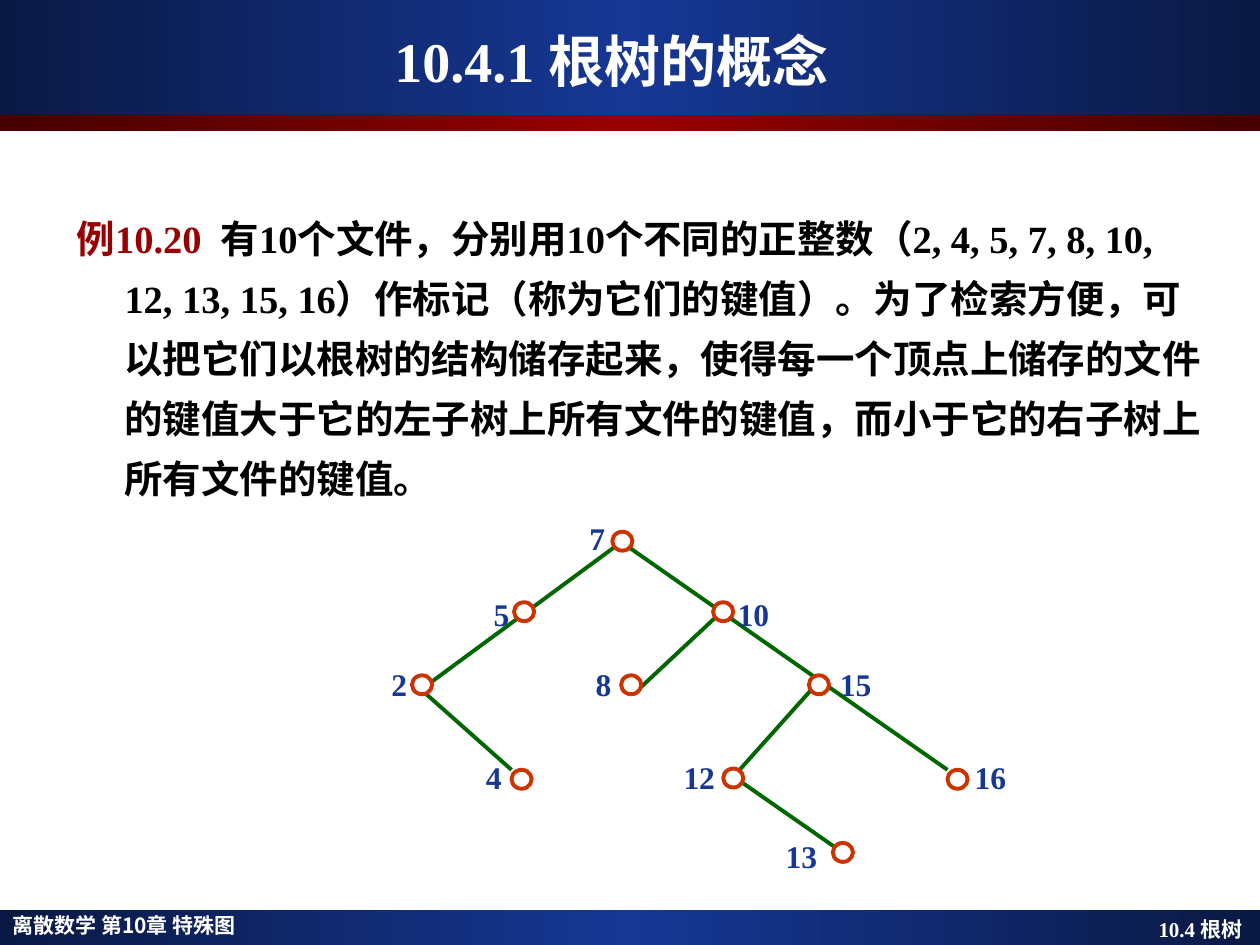
from copy import deepcopy
from pptx import Presentation
from pptx.dml.color import RGBColor
from pptx.enum.shapes import MSO_CONNECTOR, MSO_SHAPE
from pptx.enum.text import MSO_ANCHOR, PP_ALIGN
from pptx.oxml.ns import qn
from pptx.util import Inches, Pt

LEFT, MID, RIGHT = PP_ALIGN.LEFT, PP_ALIGN.CENTER, PP_ALIGN.RIGHT
TOP, CENTER = MSO_ANCHOR.TOP, MSO_ANCHOR.MIDDLE
RECT, OVAL = MSO_SHAPE.RECTANGLE, MSO_SHAPE.OVAL
LINE = MSO_CONNECTOR.STRAIGHT
NAVY = RGBColor(0x0A, 0x19, 0x44)
BLUE = RGBColor(0x16, 0x37, 0x94)
DARK = RGBColor(0x46, 0x00, 0x00)
RED = RGBColor(0x99, 0x00, 0x00)
GREEN = RGBColor(0x00, 0x66, 0x00)
RUST = RGBColor(0xCC, 0x33, 0x00)
WHITE = RGBColor(0xFF, 0xFF, 0xFF)
BLACK = RGBColor(0x00, 0x00, 0x00)
SERIF, SANS = "Times New Roman", "Noto Sans CJK JP"

prs = Presentation()
prs.slide_width, prs.slide_height = Inches(10), Inches(7.5)
slide = prs.slides.add_slide(prs.slide_layouts[6])
shapes = slide.shapes


def write(runs, box, size, align=LEFT, font=SERIF, anchor=CENTER):
    frame = shapes.add_textbox(*map(Inches, box)).text_frame
    frame.word_wrap = True
    frame.vertical_anchor = anchor
    frame.margin_top = frame.margin_bottom = 0
    para = frame.paragraphs[0]
    para.alignment = align
    for text, color in runs:
        run = para.add_run()
        run.text = text
        run.font.size = Pt(size)
        run.font.bold = True
        run.font.name = font
        run.font.color.rgb = color
        east = run.font._element.makeelement(qn("a:ea"), {"typeface": SANS})
        run.font._element.find(qn("a:latin")).addnext(east)
    return para


for top, high, edge, core in [
    (7.22, 0.28, NAVY, BLUE),
    (0, 0.91, NAVY, BLUE),
    (0.91, 0.13, DARK, RED),
]:
    band = shapes.add_shape(RECT, 0, Inches(top), Inches(10), Inches(high))
    band.shadow.inherit = False
    band.line.fill.background()
    band.fill.gradient()
    band.fill.gradient_angle = 0
    stops = band._element.spPr.find(".//" + qn("a:gsLst"))
    stops.append(deepcopy(stops[0]))
    for stop, place, color in zip(
        band.fill.gradient_stops, (0, 0.5, 1), (edge, core, edge)
    ):
        stop.position = place
        stop.color.rgb = color

write([("离散数学 第10章 特殊图", WHITE)], (0, 7.2, 4.13, 0.28), 12, font=SANS)
write([("10.4.1 根树的概念", WHITE)], (0.23, 0.17, 9.25, 0.62), 32, align=MID)
write([("10.4 根树", WHITE)], (7.4, 7.23, 2.56, 0.28), 12, align=RIGHT)

story = (
    "有10个文件，分别用10个不同的正整数（2, 4, 5, 7, 8, 10, 12, 13, 15, 16）"
    "作标记（称为它们的键值）。为了检索方便，可以把它们以根树的结构储存起来，"
    "使得每一个顶点上储存的文件的键值大于它的左子树上所有文件的键值，"
    "而小于它的右子树上所有文件的键值。"
)
body = write(
    [("例10.20  ", RED), (story, BLACK)], (0.51, 1.6, 9.15, 2.4), 22, anchor=TOP
)
body.line_spacing = Pt(34.3)
props = body._p.get_or_add_pPr()
props.set("marL", str(Inches(0.38)))
props.set("indent", str(Inches(-0.38)))
props.set("hangingPunct", "0")

edges = [
    (4.88, 4.34, 3.4, 5.43),
    (5, 4.35, 7.52, 6.11),
    (3.35, 5.48, 4.06, 6.11),
    (5.69, 4.89, 5.07, 5.47),
    (6.47, 5.44, 5.87, 6.11),
    (5.86, 6.19, 6.65, 6.74),
]
for ends in edges:
    edge = shapes.add_connector(LINE, *map(Inches, ends))
    edge.line.color.rgb = GREEN
    edge.line.width = Pt(2.25)
    props = edge._element.spPr
    props.append(props.makeelement(qn("a:effectLst"), {}))

nodes = [
    ("7", 4.86, 4.22, 4.74, 4.28),
    ("5", 4.08, 4.78, 3.98, 4.88),
    ("10", 5.66, 4.78, 5.98, 4.88),
    ("2", 3.27, 5.36, 3.17, 5.44),
    ("8", 4.93, 5.36, 4.79, 5.44),
    ("15", 6.42, 5.36, 6.79, 5.44),
    ("4", 4.06, 6.11, 3.92, 6.18),
    ("12", 5.74, 6.1, 5.55, 6.18),
    ("16", 7.52, 6.11, 7.86, 6.18),
    ("13", 6.61, 6.69, 6.36, 6.8),
]
for key, left, top, x, y in nodes:
    node = shapes.add_shape(OVAL, *map(Inches, (left, top, 0.16, 0.15)))
    node.shadow.inherit = False
    node.fill.solid()
    node.fill.fore_color.rgb = WHITE
    node.line.color.rgb = RUST
    node.line.width = Pt(2.25)
    write([(key, BLUE)], (x - 0.3, y - 0.16, 0.6, 0.3), 18, align=MID)

prs.save("out.pptx")
